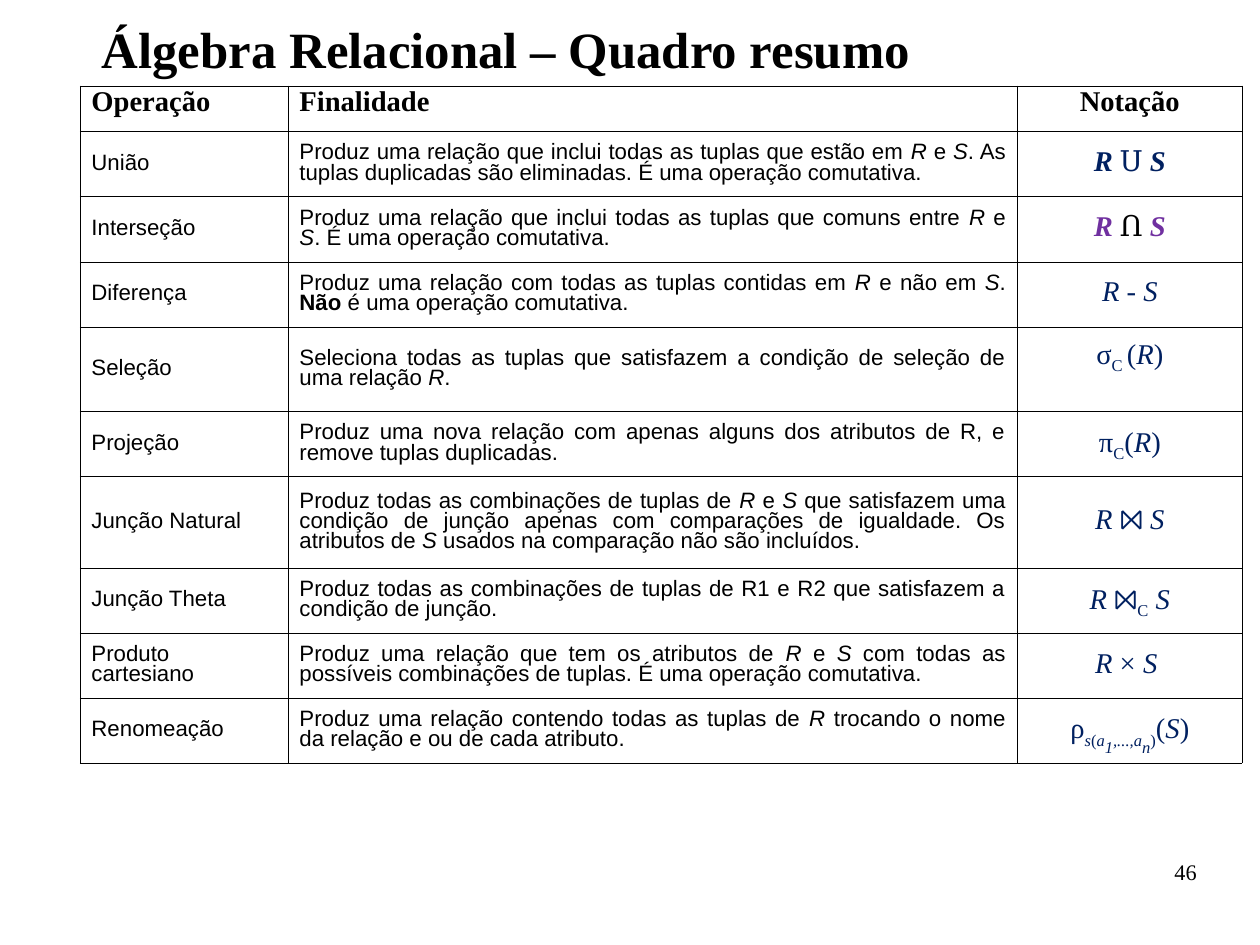
from lxml import etree
from pptx import Presentation
from pptx.dml.color import RGBColor
from pptx.enum.text import MSO_ANCHOR, MSO_AUTO_SIZE, PP_ALIGN
from pptx.oxml.ns import qn
from pptx.util import Cm, Inches, Pt

LEFT, CENTER, RIGHT, JUSTIFY = (
    PP_ALIGN.LEFT, PP_ALIGN.CENTER, PP_ALIGN.RIGHT, PP_ALIGN.JUSTIFY)
TOP, MIDDLE = MSO_ANCHOR.TOP, MSO_ANCHOR.MIDDLE
NO_FIT = MSO_AUTO_SIZE.NONE

COLORS = {"black": "000000", "navy": "002060", "purple": "7030A0"}
SERIF, SANS = "Times New Roman", "Arial"
# Subscript depth of a run, by style letter
BASELINES = {"s": "-25000", "d": "-50000"}

COL_WIDTHS = [1.82, 6.38, 1.97]
HEADER_HEIGHT, ROW_HEIGHT = 0.4, 0.57
TALL_ROWS = {"Seleção": 0.74, "Junção Natural": 0.8}
BLANK_UNDER = {"Seleção": 0.29}

HEADERS = ["Operação", "Finalidade", "Notação"]
R, S = ("R", "i"), ("S", "i")
# Runs are plain strings or (text, style): b bold, i italic, s subscript,
# d deeper subscript, k black, p purple
OPERATIONS = [
    ("União",
     ["Produz uma relação que inclui todas as tuplas que estão em ", R, " e ", S,
      ". As tuplas duplicadas são eliminadas. É uma operação comutativa."],
     [("R ", "bi"), "Ս ", ("S", "bi")]),
    ("Interseção",
     ["Produz uma relação que inclui todas as tuplas que comuns entre ", R, " e ", S,
      ". É uma operação comutativa."],
     [("R ", "bip"), ("Ո ", "k"), ("S", "bip")]),
    ("Diferença",
     ["Produz uma relação com todas as tuplas contidas em ", R, " e não em ", S, ". ",
      ("Não", "b"), " é uma operação comutativa."],
     [R, " - ", S]),
    ("Seleção",
     ["Seleciona todas as tuplas que satisfazem a condição de seleção de uma relação ",
      R, "."],
     ["σ", ("C ", "s"), "(", R, ")"]),
    ("Projeção",
     ["Produz uma nova relação com apenas alguns dos atributos de R, "
      "e remove tuplas duplicadas."],
     ["π", ("C", "s"), "(", R, ")"]),
    ("Junção Natural",
     ["Produz todas as combinações de tuplas de ", R, " e ", S,
      " que satisfazem uma condição de junção apenas com comparações de igualdade. "
      "Os atributos de ", S, " usados na comparação não são incluídos."],
     [("R ", "i"), "⨝ ", S]),
    ("Junção Theta",
     ["Produz todas as combinações de tuplas de R1 e R2 que satisfazem "
      "a condição de junção."],
     [R, " ⨝", ("C", "s"), (" S", "i")]),
    ("Produto cartesiano",
     ["Produz uma relação que tem os atributos de ", R, " e ", S,
      " com todas as possíveis combinações de tuplas. É uma operação comutativa."],
     [R, " × ", ("S ", "i")]),
    ("Renomeação",
     ["Produz uma relação contendo todas as tuplas de ", R,
      " trocando o nome da relação e ou de cada atributo."],
     ["ρ", ("s", "is"), ("(", "s"), ("a", "is"), ("1", "id"), (",...,a", "is"),
      ("n", "id"), (")", "s"), "(", S, ")"]),
]


def write(tf, runs, font, size, align=LEFT, spacing=0.81, color="black"):
    p = tf.paragraphs[0]
    p.alignment, p.line_spacing = align, spacing
    for run in runs:
        text, style = (run, "") if isinstance(run, str) else run
        r = p.add_run()
        r.text = text
        r.font.name, r.font.size = font, Pt(size)
        r.font.bold, r.font.italic = "b" in style, "i" in style
        name = "purple" if "p" in style else "black" if "k" in style else color
        r.font.color.rgb = RGBColor.from_string(COLORS[name])
        for letter, baseline in BASELINES.items():
            if letter in style:
                r.font._element.set("baseline", baseline)


def clear_frame(tf):
    """Remove insets and fitting so text starts at the top of its box."""
    tf.margin_left = tf.margin_right = tf.margin_top = tf.margin_bottom = 0
    tf.word_wrap, tf.auto_size, tf.vertical_anchor = True, NO_FIT, TOP


def outline(cell):
    """Draw hairlines on all sides and leave the cell unfilled."""
    tcPr = cell._tc.get_or_add_tcPr()
    for side in ("a:lnL", "a:lnR", "a:lnT", "a:lnB"):
        ln = etree.SubElement(tcPr, qn(side), w=str(Pt(0.06)))
        fill = etree.SubElement(ln, qn("a:solidFill"))
        etree.SubElement(fill, qn("a:srgbClr"), val=COLORS["black"])
    cell.fill.background()


def add_title(s, x, y, w, h):
    sp = s.shapes.title
    sp.left, sp.top, sp.width, sp.height = map(Inches, (x, y, w, h))
    clear_frame(sp.text_frame)
    write(sp.text_frame, [("Álgebra Relacional – Quadro resumo", "b")],
          SERIF, 32, spacing=0.93)


def add_summary(s, x, y):
    heights = [HEADER_HEIGHT] + [TALL_ROWS.get(op[0], ROW_HEIGHT) for op in OPERATIONS]
    frame = s.shapes.add_table(len(heights), len(COL_WIDTHS), Inches(x), Inches(y),
                               Inches(sum(COL_WIDTHS)), Inches(sum(heights)))
    table = frame.table
    table.first_row = table.horz_banding = False
    for column, width in zip(table.columns, COL_WIDTHS):
        column.width = Inches(width)
    for row, height in zip(table.rows, heights):
        row.height = Inches(height)
    for cell in table.iter_cells():
        outline(cell)

    for cell, text, align in zip(table.rows[0].cells, HEADERS, (LEFT, LEFT, CENTER)):
        write(cell.text_frame, [(text, "b")], SERIF, 18, align, 0.8)
    for i, (name, purpose, notation) in enumerate(OPERATIONS, 1):
        cells = list(table.rows[i].cells)
        for cell in cells:
            cell.vertical_anchor = MIDDLE
        write(cells[0].text_frame, [name], SANS, 14)
        write(cells[1].text_frame, purpose, SANS, 14, JUSTIFY)
        write(cells[2].text_frame, notation, SERIF, 18, CENTER, 0.8, "navy")
        if name in BLANK_UNDER:
            cells[2].margin_bottom = Inches(BLANK_UNDER[name])


def add_page_number(s, x, y, w, h):
    tf = s.shapes.add_textbox(*map(Inches, (x, y, w, h))).text_frame
    clear_frame(tf)
    write(tf, ["46"], SERIF, 14, RIGHT, 0.95)


def main():
    prs = Presentation()
    prs.slide_width = Cm(28)
    prs.slide_height = Cm(21)
    s = prs.slides.add_slide(prs.slide_layouts[5])
    add_title(s, 0.89, 0.2, 9.53, 0.67)
    add_summary(s, 0.7, 0.75)
    add_page_number(s, 7.9, 7.53, 2.57, 0.57)
    prs.save("out.pptx")


if __name__ == "__main__":
    main()
